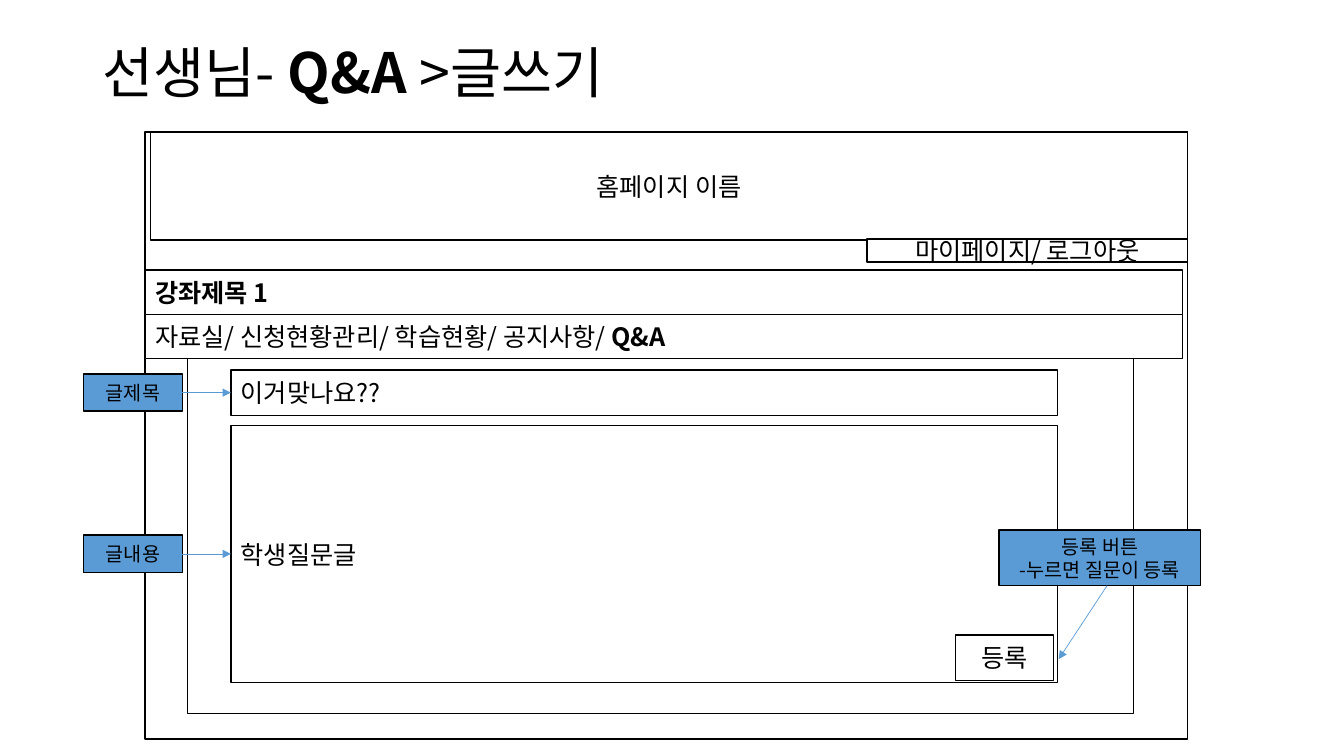
from lxml.etree import SubElement
from pptx import Presentation
from pptx.dml.color import RGBColor
from pptx.enum.shapes import MSO_CONNECTOR, MSO_SHAPE
from pptx.enum.text import MSO_ANCHOR, PP_ALIGN
from pptx.oxml.ns import qn
from pptx.util import Inches, Pt

FONT = "Noto Sans CJK KR"
BLACK = RGBColor(0x00, 0x00, 0x00)
WHITE = RGBColor(0xFF, 0xFF, 0xFF)
BLUE = RGBColor(0x5B, 0x9B, 0xD5)
LEFT, CENTER = PP_ALIGN.LEFT, PP_ALIGN.CENTER

# Text is a list of paragraphs, each a list of (words, bold) runs.
TITLE = [[("선생님-", False), (" Q&A ", True), (">글쓰기", False)]]
TITLE_AREA = (0.92, 0.4, 11.15, 0.7)

PAGE_LEFT, PAGE_TOP, PAGE_WIDTH, PAGE_HEIGHT = 1.44, 1.31, 10.34, 6.02
PAGE_RIGHT = PAGE_LEFT + PAGE_WIDTH
BAR_WIDTH, BAR_HEIGHT, BAR_TOP = 10.29, 0.44, 2.68
FIELD_LEFT, FIELD_WIDTH = 2.29, 8.2
NOTE_LEFT, NOTE_WIDTH, NOTE_HEIGHT = 0.83, 0.98, 0.37

# (left, top, width, height), paragraphs, alignment
PAGE_PARTS = [
    ((PAGE_LEFT, PAGE_TOP, PAGE_WIDTH, PAGE_HEIGHT), [], CENTER),
    ((PAGE_RIGHT - BAR_WIDTH, PAGE_TOP, BAR_WIDTH, 1.07),
     [[("홈페이지 이름", False)]], CENTER),
    ((PAGE_RIGHT - 3.18, 2.37, 3.18, 0.23),
     [[("마이페이지/ 로그아웃", False)]], CENTER),
    ((1.86, 3.44, 9.38, 3.64), [], CENTER),
    ((FIELD_LEFT, 3.67, FIELD_WIDTH, 0.45), [[("이거맞나요??", False)]], LEFT),
    ((FIELD_LEFT, 4.22, FIELD_WIDTH, 2.55), [[("학생질문글", False)]], LEFT),
    ((9.48, 6.3, 0.97, 0.45), [[("등록", False)]], CENTER),
    ((PAGE_LEFT, BAR_TOP + BAR_HEIGHT, BAR_WIDTH, BAR_HEIGHT),
     [[("자료실/ 신청현황관리/ 학습현황/ 공지사항/ ", False), ("Q&A", True)]], LEFT),
    ((PAGE_LEFT, BAR_TOP, BAR_WIDTH, BAR_HEIGHT), [[("강좌제목 1", True)]], LEFT),
]

FIELD_NOTES = [("글제목", 3.71), ("글내용", 5.31)]
BUTTON_NOTE = [[("등록 버튼", False)], [("-누르면 질문이 등록", False)]]
BUTTON_NOTE_AREA = (9.91, 5.26, 2, 0.55)
BUTTON_ARROW = ((10.98, 5.81), (10.5, 6.54))


def write(shape, paragraphs, size, align=LEFT, line_spacing=None):
    frame = shape.text_frame
    frame.word_wrap = True
    frame.vertical_anchor = MSO_ANCHOR.MIDDLE
    for index, runs in enumerate(paragraphs):
        para = frame.add_paragraph() if index else frame.paragraphs[0]
        para.alignment = align
        para.line_spacing = line_spacing
        for words, bold in runs:
            span = para.add_run()
            span.text = words
            span.font.name = FONT
            span.font.size = Pt(size)
            span.font.bold = bold
            span.font.color.rgb = BLACK
            SubElement(span.font._element, qn("a:ea"), typeface=FONT)


def add_box(slide, area, paragraphs, size=18, align=CENTER, fill=WHITE):
    box = slide.shapes.add_shape(MSO_SHAPE.RECTANGLE, *map(Inches, area))
    box.shadow.inherit = False
    box.fill.solid()
    box.fill.fore_color.rgb = fill
    box.line.color.rgb = BLACK
    box.line.width = Pt(1)
    write(box, paragraphs, size, align)


def add_arrow(slide, start, end):
    arrow = slide.shapes.add_connector(
        MSO_CONNECTOR.STRAIGHT, *map(Inches, (*start, *end)))
    arrow.line.color.rgb = BLUE
    arrow.line.width = Pt(0.5)
    SubElement(arrow.line._get_or_add_ln(), qn("a:tailEnd"), type="triangle")
    SubElement(arrow._element.spPr, qn("a:effectLst"))


def main():
    deck = Presentation()
    deck.slide_width, deck.slide_height = Inches(13.33), Inches(7.5)
    slide = deck.slides.add_slide(deck.slide_layouts[6])

    title = slide.shapes.add_textbox(*map(Inches, TITLE_AREA))
    write(title, TITLE, 39.6, line_spacing=0.9)

    for area, paragraphs, align in PAGE_PARTS:
        add_box(slide, area, paragraphs, align=align)

    for words, top in FIELD_NOTES:
        area = (NOTE_LEFT, top, NOTE_WIDTH, NOTE_HEIGHT)
        add_box(slide, area, [[(words, False)]], size=14, fill=BLUE)
        middle = top + NOTE_HEIGHT / 2
        add_arrow(slide, (NOTE_LEFT + NOTE_WIDTH, middle), (FIELD_LEFT, middle))

    add_box(slide, BUTTON_NOTE_AREA, BUTTON_NOTE, size=14, fill=BLUE)
    add_arrow(slide, *BUTTON_ARROW)

    deck.save("out.pptx")


if __name__ == "__main__":
    main()
